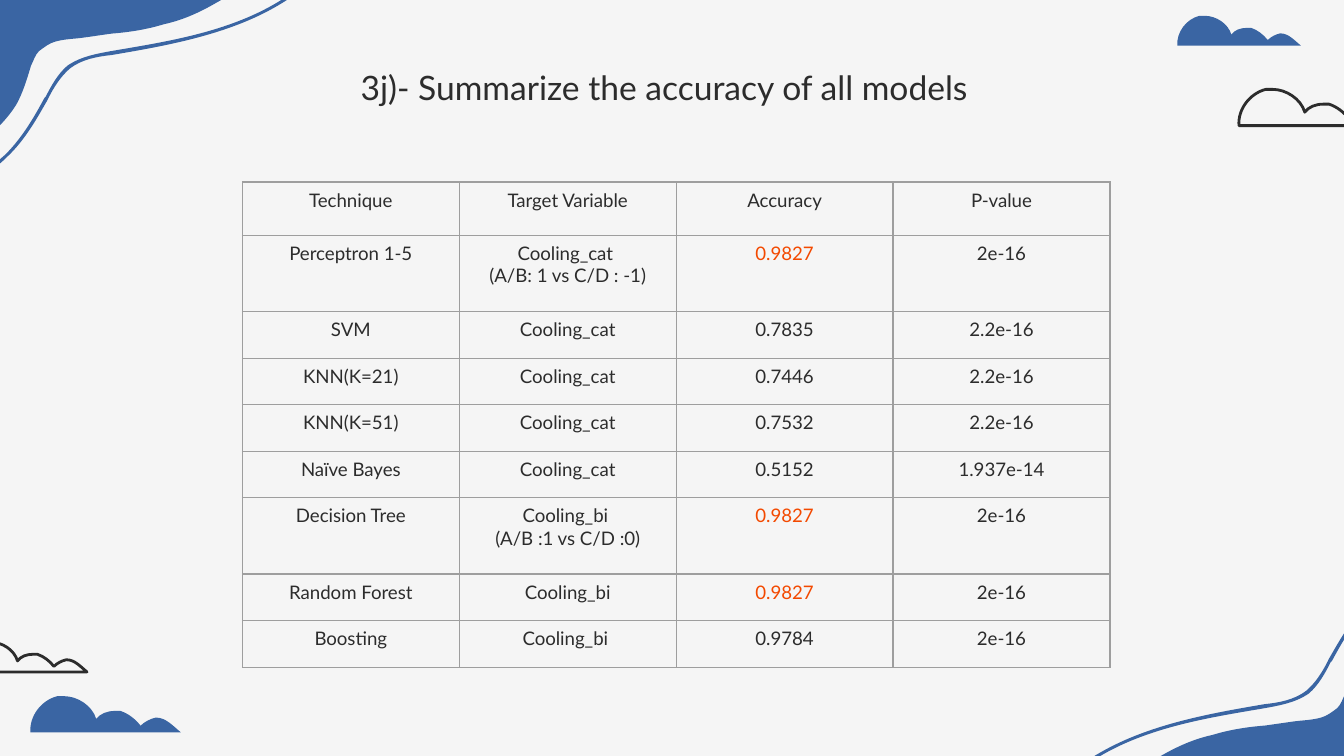
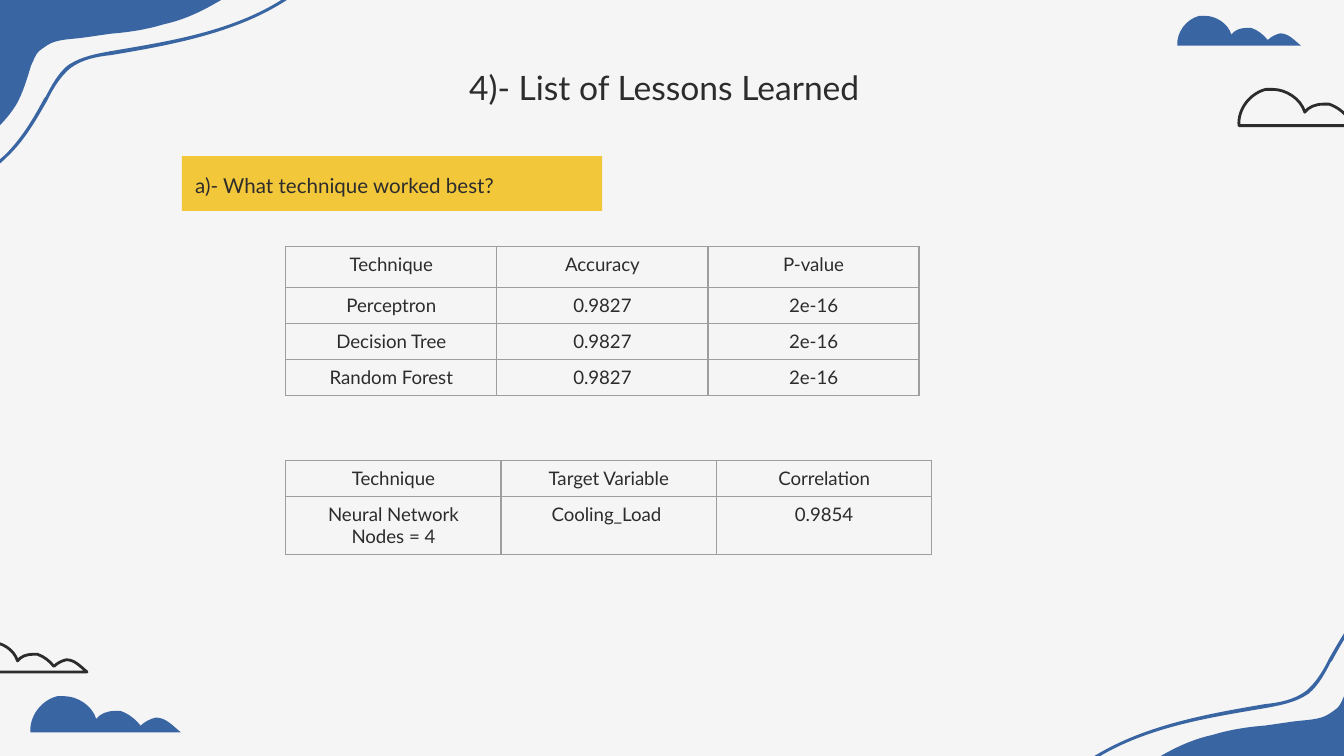
from dataclasses import dataclass

from lxml import etree
from pptx import Presentation
from pptx import util as u
from pptx.dml.color import RGBColor
from pptx.enum import shapes, text
from pptx.oxml import ns


@dataclass(frozen=True)
class Theme:
    font: str = "Lato"
    paper: str = "F5F5F5"
    ink: str = "2C2C2C"
    blue: str = "3A65A3"
    yellow: str = "F3C73A"
    orange: str = "F34900"
    grid: str = "9E9E9E"
    title_size: float = 18
    label_size: float = 11
    cell_size: float = 10


THEME = Theme()

MODELS = {
    "rows": [
        ("Technique", "Target Variable", "Accuracy", "P-value"),
        ("Perceptron 1-5", "Cooling_cat \n(A/B: 1 vs C/D : -1)", "0.9827", "2e-16"),
        ("SVM", "Cooling_cat", "0.7835", "2.2e-16"),
        ("KNN(K=21)", "Cooling_cat", "0.7446", "2.2e-16"),
        ("KNN(K=51)", "Cooling_cat", "0.7532", "2.2e-16"),
        ("Naïve Bayes", "Cooling_cat", "0.5152", "1.937e-14"),
        ("Decision Tree", "Cooling_bi \n(A/B :1 vs C/D :0)", "0.9827", "2e-16"),
        ("Random Forest", "Cooling_bi", "0.9827", "2e-16"),
        ("Boosting", "Cooling_bi ", "0.9784", "2e-16"),
    ],
    "left": 4.58, "top": 3.44, "column": 4.1,
    "header": 1.01, "single": 0.88, "double": 1.44,
    "highlight": "0.9827",
}
BEST = {
    "rows": [
        ("Technique", "Accuracy", "P-value"),
        ("Perceptron", "0.9827", "2e-16"),
        ("Decision Tree", "0.9827", "2e-16"),
        ("Random Forest", "0.9827", "2e-16"),
    ],
    "left": 5.4, "top": 4.66, "column": 3.99,
    "header": 0.77, "single": 0.68, "double": 1.1,
}
NETWORK = {
    "rows": [
        ("Technique", "Target Variable", "Correlation"),
        ("Neural Network\nNodes = 4", "Cooling_Load ", "0.9854"),
    ],
    "left": 5.4, "top": 8.7, "column": 4.07,
    "header": 0.68, "single": 0.68, "double": 1.1,
}
PAGES = [
    {"title": "3j)- Summarize the accuracy of all models", "tables": [MODELS]},
    {"title": "4)- List of Lessons Learned",
     "question": "a)- What technique worked best?",
     "tables": [BEST, NETWORK]},
]

UNIT = 0.0254
RIBBON = [
    (1064, 424), (1064, 424, 1065, 425, 1065, 425), (1065, 426, 1065, 427, 1064, 427),
    (1045, 429, 1030, 441, 1020, 450), (1007, 463, 998, 479, 991, 492), (990, 493),
    (986, 501, 981, 510, 974, 516), (964, 523, 952, 525, 941, 527),
    (906, 533, 866, 539, 831, 556), (792, 575, 765, 605, 755, 638),
    (754, 639, 754, 639, 753, 639), (753, 639, 753, 639, 753, 639),
    (752, 639, 752, 638, 752, 637), (763, 603, 791, 573, 830, 554),
    (865, 537, 906, 530, 941, 524), (951, 523, 963, 521, 972, 514),
    (979, 508, 984, 500, 988, 492), (989, 490), (996, 478, 1005, 461, 1019, 448),
    (1028, 439, 1044, 427, 1064, 424), (1064, 424, 1064, 424, 1064, 424),
]
WAVE = [
    (1063, 448), (1063, 633), (788, 633), (789, 633, 789, 632, 789, 631),
    (790, 629, 791, 626, 792, 623), (795, 618, 798, 613, 802, 609),
    (811, 599, 821, 591, 831, 584), (842, 577, 852, 569, 863, 563),
    (875, 556, 888, 550, 902, 547), (915, 543, 928, 541, 941, 540),
    (948, 539, 955, 538, 962, 537), (969, 536, 976, 536, 983, 534),
    (987, 533, 991, 530, 995, 527), (998, 524, 999, 520, 1001, 516),
    (1004, 506, 1007, 496, 1012, 487), (1019, 476, 1028, 467, 1039, 459),
    (1046, 454, 1054, 450, 1063, 448),
]
CLOUD = [
    (26, 0), (24, 0, 23, 0, 21, 0), (9, 3, 0, 15, 1, 27), (113, 27),
    (108, 23, 102, 16, 95, 16), (95, 16, 94, 16, 94, 16), (90, 17, 86, 19, 83, 22),
    (79, 17, 74, 13, 68, 11), (67, 11, 65, 11, 64, 11), (58, 11, 53, 13, 50, 17),
    (47, 7, 36, 0, 26, 0),
]
SMALL = 0.82
CLOUDS = [
    {"left": 22.23, "top": 0.3, "scale": SMALL},
    {"left": 23.39, "top": 1.69, "outlined": True},
    {"left": -0.71, "top": 12.14, "scale": SMALL, "outlined": True},
    {"left": 0.55, "top": 13.16},
]
TURN_WIDTH, TURN_HEIGHT = 26.01, 14.35


def color(value):
    return RGBColor.from_string(value)


def write(frame, words, size, ink=THEME.ink, align=text.PP_ALIGN.CENTER):
    for index, line in enumerate(words.split("\n")):
        para = frame.paragraphs[0] if index == 0 else frame.add_paragraph()
        para.alignment = align
        span = para.add_run()
        span.text = line
        span.font.name = THEME.font
        span.font.size = u.Pt(size)
        span.font.color.rgb = color(ink)


def set_frame(frame, anchor):
    frame.word_wrap = True
    frame.auto_size = text.MSO_AUTO_SIZE.NONE
    frame.vertical_anchor = anchor
    for side in ("left", "top", "right", "bottom"):
        setattr(frame, f"margin_{side}", u.Cm(0.25))


def bend(shape, parts):
    lines = list(shape.element.iter(ns.qn("a:lnTo")))
    for line, part in zip(lines, parts):
        if len(part) == 1:
            continue
        curve = etree.Element(ns.qn("a:cubicBezTo"))
        for x, y in part[:2]:
            etree.SubElement(curve, ns.qn("a:pt"),
                             x=str(x - shape.left), y=str(y - shape.top))
        curve.append(line[0])
        line.getparent().replace(line, curve)


def add_outline(page, outline, left=0, top=0, scale=1, outlined=False):
    parts = [[(u.Cm(left + x * scale * UNIT), u.Cm(top + y * scale * UNIT))
              for x, y in zip(part[::2], part[1::2])] for part in outline]
    builder = page.shapes.build_freeform(*parts[0][0])
    builder.add_line_segments([part[-1] for part in parts[1:]], close=True)
    shape = builder.convert_to_shape()
    bend(shape, parts[1:])
    shape.shadow.inherit = False
    shape.fill.solid()
    shape.fill.fore_color.rgb = color(THEME.paper if outlined else THEME.blue)
    if outlined:
        shape.line.color.rgb = color(THEME.ink)
        shape.line.width = u.Pt(1.5)
    else:
        shape.line.fill.background()
    return shape


def decorate(layout, page):
    corner = [add_outline(page, outline) for outline in (RIBBON, WAVE)]
    clouds = [add_outline(page, CLOUD, **cloud) for cloud in CLOUDS]
    opposite = [add_outline(page, outline) for outline in (RIBBON, WAVE)]
    for shape in opposite:
        shape.left = u.Cm(TURN_WIDTH) - shape.left - shape.width
        shape.top = u.Cm(TURN_HEIGHT) - shape.top - shape.height
        shape.rotation = 180
    for shape in corner + clouds + opposite:
        layout.shapes.element.append(shape.element)


def remove_footers(holder):
    kinds = shapes.PP_PLACEHOLDER
    for box in list(holder.placeholders):
        if box.placeholder_format.type in (kinds.DATE, kinds.FOOTER, kinds.SLIDE_NUMBER):
            holder.shapes.element.remove(box.element)


def set_borders(cell):
    properties = cell._tc.get_or_add_tcPr()
    for position, tag in enumerate(("a:lnL", "a:lnR", "a:lnT", "a:lnB")):
        line = etree.Element(ns.qn(tag), w=str(u.Pt(0.75)))
        fill = etree.SubElement(line, ns.qn("a:solidFill"))
        etree.SubElement(fill, ns.qn("a:srgbClr"), val=THEME.grid)
        properties.insert(position, line)


def add_grid(page, data):
    rows = data["rows"]
    heights = [data["header"]] + [
        data["double" if any("\n" in words for words in row) else "single"]
        for row in rows[1:]]
    count = len(rows[0])
    table = page.shapes.add_table(
        len(rows), count, u.Cm(data["left"]), u.Cm(data["top"]),
        u.Cm(count * data["column"]), u.Cm(sum(heights))).table
    table.first_row = table.horz_banding = False
    for column in table.columns:
        column.width = u.Cm(data["column"])
    for row, height, values in zip(table.rows, heights, rows):
        row.height = u.Cm(height)
        for cell, words in zip(row.cells, values):
            cell.fill.background()
            set_borders(cell)
            marked = words == data.get("highlight")
            write(cell.text_frame, words, THEME.cell_size,
                  ink=THEME.orange if marked else THEME.ink)


def add_question(page, words):
    box = page.shapes.add_shape(shapes.MSO_SHAPE.RECTANGLE, u.Cm(3.44), u.Cm(2.95),
                                u.Cm(7.94), u.Cm(1.04))
    box.shadow.inherit = False
    box.fill.solid()
    box.fill.fore_color.rgb = color(THEME.yellow)
    box.line.fill.background()
    set_frame(box.text_frame, text.MSO_ANCHOR.BOTTOM)
    write(box.text_frame, words, THEME.label_size, align=text.PP_ALIGN.LEFT)


def add_page(deck, layout, content):
    page = deck.slides.add_slide(layout)
    title = page.shapes.title
    title.left, title.top = u.Cm(1.85), u.Cm(1.02)
    title.width, title.height = u.Cm(21.41), u.Cm(1.24)
    set_frame(title.text_frame, text.MSO_ANCHOR.TOP)
    write(title.text_frame, content["title"], THEME.title_size)
    if "question" in content:
        add_question(page, content["question"])
    for data in content["tables"]:
        add_grid(page, data)
    return page


def main():
    deck = Presentation()
    deck.slide_width, deck.slide_height = u.Cm(25.4), u.Cm(14.29)
    background = deck.slide_master.background.fill
    background.solid()
    background.fore_color.rgb = color(THEME.paper)
    layout = deck.slide_layouts.get_by_name("Title Only")
    remove_footers(deck.slide_master)
    remove_footers(layout)
    pages = [add_page(deck, layout, content) for content in PAGES]
    decorate(layout, pages[0])
    deck.save("out.pptx")


if __name__ == "__main__":
    main()
